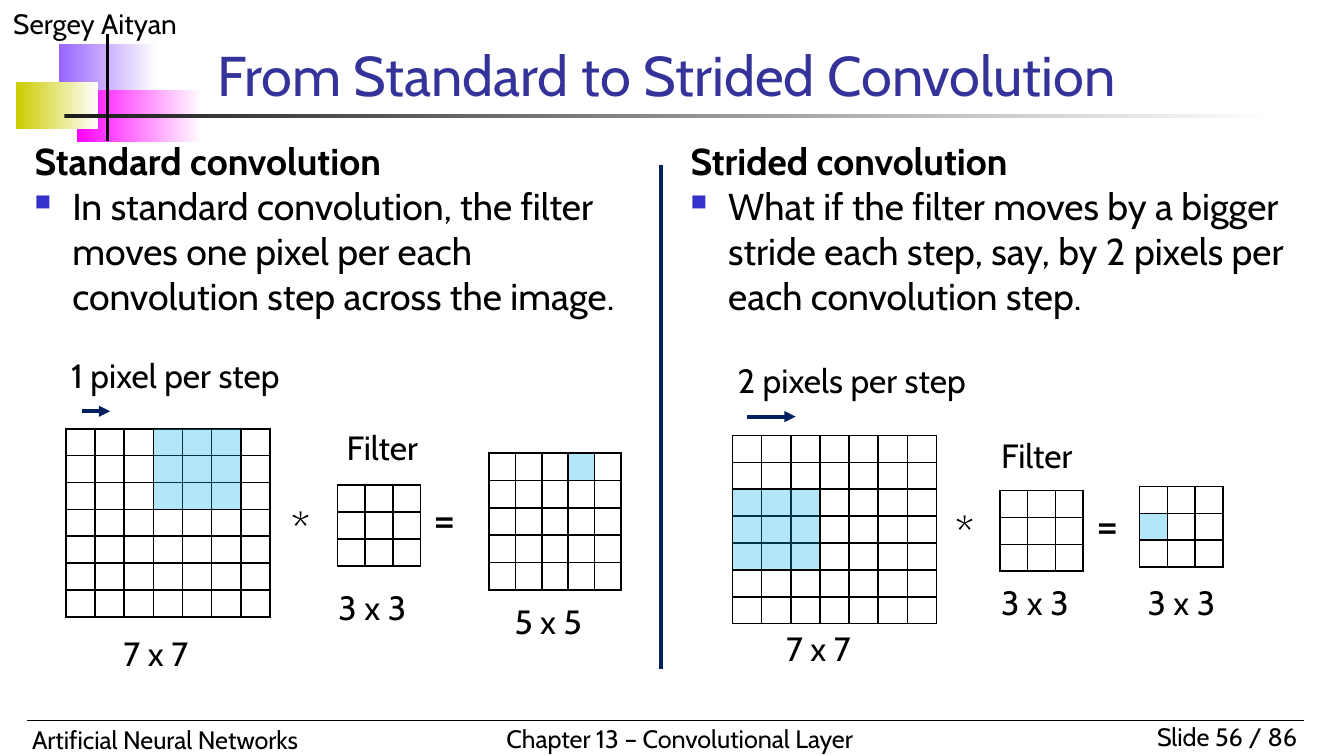
from lxml.etree import SubElement
from pptx import Presentation
from pptx.dml.color import RGBColor
from pptx.enum.shapes import MSO_CONNECTOR, MSO_SHAPE
from pptx.enum.text import MSO_ANCHOR, PP_ALIGN
from pptx.oxml import parse_xml
from pptx.oxml.ns import nsdecls, qn
from pptx.util import Inches, Pt

THEME = {
    "font": "Cabin",
    "black": "000000", "title": "333399", "bullet": "3333CC",
    "accent": "002060", "highlight": "00B0F0", "fade": "FFFFFF",
    "title_size": 30, "symbol_size": 24, "body_size": 20,
    "label_size": 18, "author_size": 15, "footer_size": 13.5,
    "thin": 0.75, "thick": 2,
}

# Decoration: left, top, width, height, starting colour of the fade
DECORATION = [
    (0.44, 0.33, 0.73, 0.39, "9966FF"),
    (0.57, 0.67, 0.93, 0.39, "FF00FF"),
    (0.12, 0.61, 0.61, 0.35, "CCCC00"),
    (0.48, 0.85, 9, 0.03, "1C1C1C"),
]

# Header and footer: words, box, type size, alignment
FRAME_TEXTS = [
    ("Sergey Aityan", (0, 0, 2.5, 0.35), "author_size", PP_ALIGN.LEFT),
    ("Slide 56 / 86", (8.25, 5.32, 1.5, 0.33), "footer_size", PP_ALIGN.RIGHT),
    ("Artificial Neural Networks", (0.14, 5.34, 3.7, 0.33), "footer_size", PP_ALIGN.LEFT),
    ("Chapter 13 – Convolutional Layer", (3.67, 5.33, 2.99, 0.33), "footer_size", PP_ALIGN.LEFT),
]
TITLE = ("From Standard to Strided Convolution", (1.52, 0.31, 7.35, 0.54))

# Lines: start, end, colour, weight, arrowhead
LINES = [
    ((0.2, 5.36), (9.7, 5.36), "black", "thin", False),
    ((0.8, 0.25), (0.8, 1.05), "black", "thick", False),
    ((4.92, 1.23), (4.92, 4.98), "accent", "thick", False),
    ((0.61, 3.06), (0.82, 3.06), "accent", "thick", True),
    ((5.56, 3.1), (5.92, 3.1), "accent", "thick", True),
]

# Grids: left, top, width, height, cells per side,
# highlighted square as (column, row, cells per side) or None
PANELS = [
    {
        "heading": "Standard convolution",
        "point": "In standard convolution, the filter moves one pixel per each "
                 "convolution step across the image.",
        "box": (0.16, 0.98, 4.76, 0.81),
        "grids": [
            (0.49, 3.19, 1.52, 1.4, 7, (3, 0, 3)),
            (2.51, 3.61, 0.62, 0.6, 3, None),
            (3.64, 3.37, 0.98, 1.02, 5, (3, 0, 1)),
        ],
        "labels": [
            ("1 pixel per step", 0.43, 2.59, 1.99), ("Filter", 2.48, 3.13, 0.79),
            ("7 x 7", 0.82, 4.66, 0.92), ("3 x 3", 2.42, 4.32, 0.92),
            ("5 x 5", 3.73, 4.42, 0.92),
        ],
        "symbols": [("*", 2.07, 3.68), ("=", 3.13, 3.6)],
    },
    {
        "heading": "Strided convolution",
        "point": "What if the filter moves by a bigger stride each step, say, "
                 "by 2 pixels per each convolution step.",
        "box": (5.04, 0.98, 4.96, 1.25),
        "grids": [
            (5.45, 3.24, 1.52, 1.4, 7, (0, 2, 3)),
            (7.44, 3.65, 0.62, 0.6, 3, None),
            (8.48, 3.62, 0.62, 0.6, 3, (0, 1, 1)),
        ],
        "labels": [
            ("2 pixels per step", 5.39, 2.63, 2.13), ("Filter", 7.35, 3.19, 0.79),
            ("7 x 7", 5.75, 4.62, 0.92), ("3 x 3", 7.35, 4.28, 0.92),
            ("3 x 3", 8.44, 4.28, 0.81),
        ],
        "symbols": [("*", 7.01, 3.71), ("=", 8.06, 3.65)],
    },
]


def color(name):
    return RGBColor.from_string(THEME.get(name, name))


def style(paragraph, size, color_name="black", bold=False):
    font = paragraph.font
    font.name, font.size, font.bold = THEME["font"], Pt(THEME[size]), bold
    font.color.rgb = color(color_name)


def add_text(slide, text, box, size, color_name="black", align=PP_ALIGN.LEFT, bold=False):
    frame = slide.shapes.add_textbox(*map(Inches, box)).text_frame
    frame.word_wrap = True
    paragraph = frame.paragraphs[0]
    paragraph.text, paragraph.alignment = text, align
    style(paragraph, size, color_name, bold)
    return frame


def add_rectangle(slide, box):
    shape = slide.shapes.add_shape(MSO_SHAPE.RECTANGLE, *map(Inches, box))
    shape.shadow.inherit = False
    return shape


def add_fade(slide, box, start):
    shape = add_rectangle(slide, box)
    shape.line.fill.background()
    shape.fill.gradient()
    shape.fill.gradient_angle = 0
    for stop, name in zip(shape.fill.gradient_stops, (start, "fade")):
        stop.color.rgb = color(name)


def add_line(slide, start, end, color_name, weight, arrow):
    line = slide.shapes.add_connector(MSO_CONNECTOR.STRAIGHT, *map(Inches, start + end))
    line.line.color.rgb = color(color_name)
    line.line.width = Pt(THEME[weight])
    if arrow:
        SubElement(line.line._get_or_add_ln(), qn("a:tailEnd"), type="triangle")
    SubElement(line._element.spPr, qn("a:effectLst"))


def add_body(slide, heading, point, box):
    frame = add_text(slide, heading, box, "body_size", bold=True)
    paragraph = frame.add_paragraph()
    paragraph.text = point
    properties = paragraph._p.get_or_add_pPr()
    properties.set("marL", str(Inches(0.28)))
    properties.set("indent", str(-Inches(0.28)))
    bullet_color = SubElement(properties, qn("a:buClr"))
    SubElement(bullet_color, qn("a:srgbClr"), val=THEME["bullet"])
    SubElement(properties, qn("a:buSzPct"), val="60000")
    SubElement(properties, qn("a:buChar"), char="■")
    style(paragraph, "body_size")


def add_grid(slide, left, top, width, height, count, highlight):
    table = slide.shapes.add_table(count, count, *map(Inches, (left, top, width, height))).table
    table.first_row = table.horz_banding = False
    for cell in table.iter_cells():
        cell.margin_left = cell.margin_right = cell.margin_top = cell.margin_bottom = 0
        cell.text_frame.paragraphs[0].font.size = Pt(6)
        cell.fill.background()
        for index, side in enumerate(("lnL", "lnR", "lnT", "lnB")):
            border = parse_xml(
                f'<a:{side} {nsdecls("a")} w="{Pt(1)}"><a:solidFill>'
                f'<a:srgbClr val="{THEME["black"]}"/></a:solidFill></a:{side}>')
            cell._tc.get_or_add_tcPr().insert(index, border)
    if highlight:
        column, row, span = highlight
        cell_width, cell_height = width / count, height / count
        shape = add_rectangle(slide, (left + column * cell_width, top + row * cell_height,
                                      span * cell_width, span * cell_height))
        shape.fill.solid()
        shape.fill.fore_color.rgb = color("highlight")
        fill_color = shape._element.spPr.find(qn("a:solidFill"))[0]
        SubElement(fill_color, qn("a:alpha"), val="30000")
        shape.line.color.rgb = color("black")
        shape.line.width = Pt(THEME["thin"])


def main():
    # Widescreen page, 16 by 9
    presentation = Presentation()
    presentation.slide_width = Inches(10)
    presentation.slide_height = Inches(10 * 9 / 16)
    slide = presentation.slides.add_slide(presentation.slide_layouts[6])

    # Decoration, header and footer
    for *box, start in DECORATION:
        add_fade(slide, box, start)
    for text, box, size, align in FRAME_TEXTS:
        add_text(slide, text, box, size, align=align)
    title = add_text(slide, *TITLE, "title_size", "title")
    title.vertical_anchor = MSO_ANCHOR.BOTTOM

    # The two convolution panels
    for panel in PANELS:
        add_body(slide, panel["heading"], panel["point"], panel["box"])
        for grid in panel["grids"]:
            add_grid(slide, *grid)
        for text, left, top, width in panel["labels"]:
            add_text(slide, text, (left, top, width, 0.4), "label_size")
        for text, left, top in panel["symbols"]:
            add_text(slide, text, (left, top, 0.44, 0.5), "symbol_size")

    # Rules, divider and step arrows
    for line in LINES:
        add_line(slide, *line)

    presentation.save("out.pptx")


if __name__ == "__main__":
    main()
